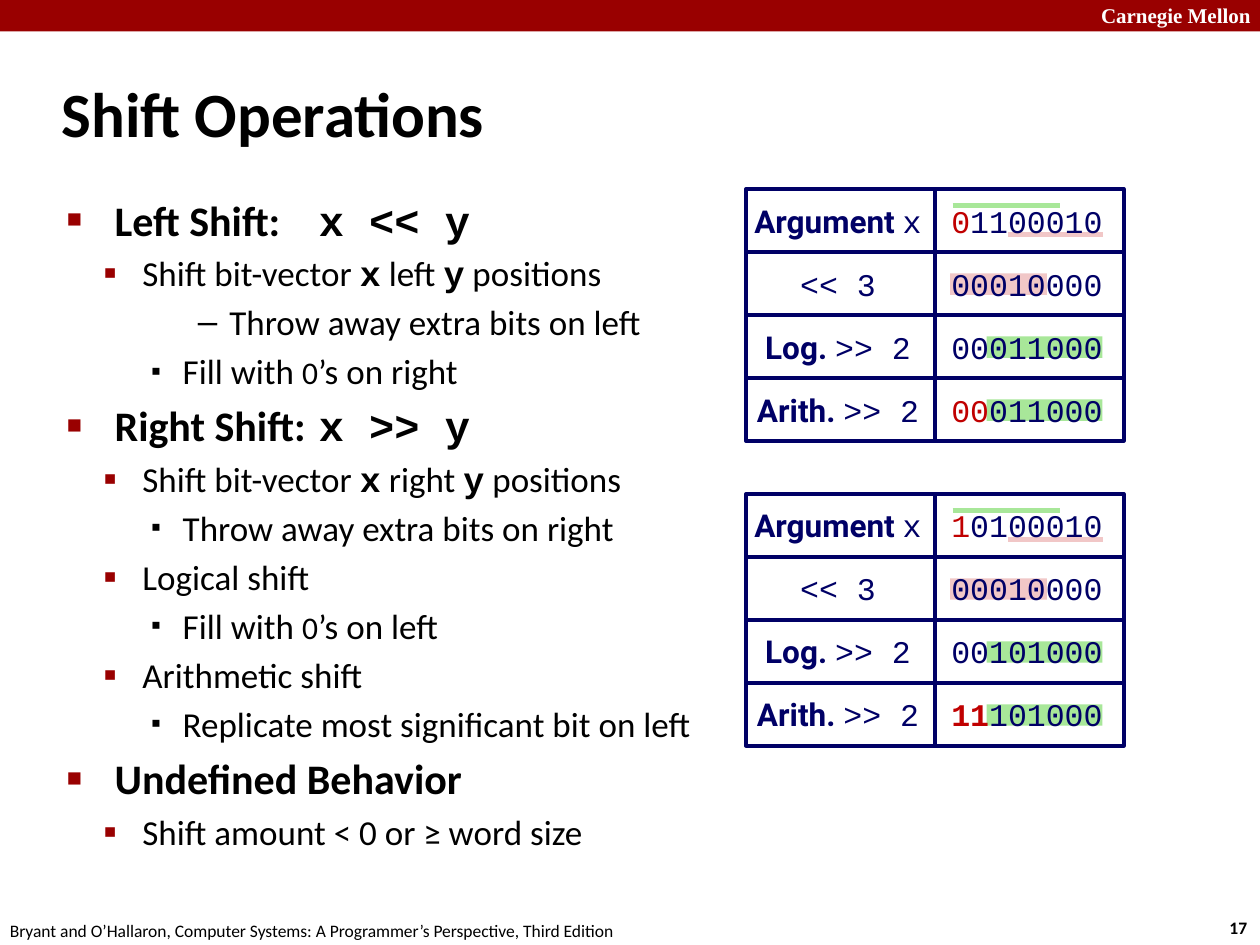
from lxml import etree
from pptx import Presentation
from pptx.dml.color import RGBColor
from pptx.enum import shapes, text
from pptx.oxml.ns import qn
from pptx.util import Inches, Pt

COLORS = {"band": "990000", "navy": "000066", "red": "C00000", "green": "A8E799",
          "pink": "F1C7C7", "black": "000000", "white": "FFFFFF"}

# Run styles: font, size, bold
STYLES = {"head": ("Calibri", 24, True), "head code": ("Courier New", 24, True),
          "body": ("Calibri", 20, False), "code": ("Courier New", 20, True),
          "digit": ("Calibri", 18, False), "title": ("Calibri", 36, True),
          "school": ("Times New Roman", 12, True), "page": ("Calibri", 10, True),
          "footer": ("Calibri", 10, False), "label": ("Roboto", 18, True),
          "bits": ("Courier New", 18, False), "bold bits": ("Courier New", 18, True)}

# Outline levels: left margin, hanging indent, bullet, bullet colour, bullet size in %
LEVELS = [(0.38, 0.38, "■", "band", 60), (0.6, 0.31, "▪", "band", 110),
          (0.92, 0.25, "▪", "black", 80), (1.29, 0.25, "–", "black", 100)]


def shift_positions(direction):
    return [("Shift bit-vector ", "body"), ("x", "code"), (f" {direction} ", "body"),
            ("y", "code"), (" positions", "body")]


def fill_with_zeros(side):
    return [("Fill with ", "body"), ("0", "digit"), (f"’s on {side}", "body")]


OUTLINE = [
    (0, [("Left Shift: \t", "head"), ("x << y", "head code")]),
    (1, shift_positions("left")),
    (3, [("Throw away extra bits on left", "body")]),
    (2, fill_with_zeros("right")),
    (0, [("Right Shift: \t", "head"), ("x >> y", "head code")]),
    (1, shift_positions("right")),
    (2, [("Throw away extra bits on right", "body")]),
    (1, [("Logical shift", "body")]),
    (2, fill_with_zeros("left")),
    (1, [("Arithmetic shift", "body")]),
    (2, [("Replicate most significant bit on left", "body")]),
    (0, [("Undefined Behavior", "head")]),
    (1, [("Shift amount < 0 or ≥ word size", "body")]),
]

ROW_LABELS = [[("Argument ", "label"), ("x", "bits")], [("<< 3", "bits")],
              [("Log. ", "label"), (">> 2", "bits")],
              [("Arith. ", "label"), (">> 2", "bits")]]

# Each example: top, then per row the red bits, their style and the navy bits
EXAMPLES = [
    (1.5, [("0", "bits", "1100010"), ("", "bits", "00010000"),
           ("", "bits", "00011000"), ("00", "bits", "011000")]),
    (3.92, [("1", "bits", "0100010"), ("", "bits", "00010000"),
            ("", "bits", "00101000"), ("11", "bold bits", "101000")]),
]
GRID_LEFT, CELL_W, CELL_H = 5.92, 1.5, 0.5

# Kept bits in rows 1 to 3: left, width, colour
KEPT_BITS = [(7.54, 0.77, "pink"), (7.83, 0.92, "green"), (7.83, 0.92, "green")]
# Marks on the argument: start, end, offset from the grid top, colour
ARGUMENT_MARKS = [(8, 8.75, 0.36, "pink"), (7.56, 8.41, 0.13, "green")]


def rgb(name):
    return RGBColor.from_string(COLORS[name])


def add_run(paragraph, wording, style, color="black"):
    run = paragraph.add_run()
    run.text = wording
    run.font.name, size, run.font.bold = STYLES[style]
    run.font.size = Pt(size)
    run.font.color.rgb = rgb(color)


def place(shape, *box):
    shape.left, shape.top, shape.width, shape.height = map(Inches, box)


def indent(paragraph, margin, hanging):
    props = paragraph._p.get_or_add_pPr()
    props.set("marL", str(Inches(margin)))
    props.set("indent", str(-Inches(hanging)))
    return props


def add_rect(slide, box, fill=None, line=None):
    rect = slide.shapes.add_shape(shapes.MSO_SHAPE.RECTANGLE, *map(Inches, box))
    rect.shadow.inherit = False
    if fill:
        rect.fill.solid()
        rect.fill.fore_color.rgb = rgb(fill)
    else:
        rect.fill.background()
    if line:
        rect.line.color.rgb = rgb(line)
        rect.line.width = Pt(2)
    else:
        rect.line.fill.background()
    return rect


def add_mark(slide, start, end, y, color):
    mark = slide.shapes.add_connector(
        shapes.MSO_CONNECTOR.STRAIGHT, *map(Inches, (start, y, end, y)))
    mark.line.color.rgb = rgb(color)
    mark.line.width = Pt(3)
    etree.SubElement(mark._element.spPr, qn("a:effectLst"))


def add_cell(slide, column, top, runs):
    box = (GRID_LEFT + column * CELL_W, top, CELL_W, CELL_H)
    frame = add_rect(slide, box, line="navy").text_frame
    frame.word_wrap = False
    frame.vertical_anchor = text.MSO_ANCHOR.MIDDLE
    frame.margin_left = frame.margin_top = frame.margin_bottom = Inches(0.06)
    frame.margin_right = Inches(0.1)
    paragraph = frame.paragraphs[0]
    paragraph.alignment = text.PP_ALIGN.CENTER
    for run in runs:
        add_run(paragraph, *run)


def add_label(slide, box, wording, style, color="black"):
    label = slide.shapes.add_textbox(*map(Inches, box))
    label.text_frame.word_wrap = False
    add_run(label.text_frame.paragraphs[0], wording, style, color)


def add_title(slide):
    title = slide.shapes.title
    place(title, 0.39, 0.48, 8.3, 0.83)
    title.text_frame.vertical_anchor = text.MSO_ANCHOR.MIDDLE
    heading = title.text_frame.paragraphs[0]
    heading.alignment = text.PP_ALIGN.LEFT
    indent(heading, 0.13, 0.13)
    add_run(heading, "Shift Operations", "title")


def add_outline(slide):
    body = slide.placeholders[1]
    place(body, 0.43, 1.49, 8.64, 5.44)
    frame = body.text_frame
    frame.auto_size = text.MSO_AUTO_SIZE.NONE
    for number, (level, runs) in enumerate(OUTLINE):
        item = frame.add_paragraph() if number else frame.paragraphs[0]
        item.level = level
        margin, hanging, bullet, color, size = LEVELS[level]
        props = indent(item, margin, hanging)
        bullet_color = etree.SubElement(props, qn("a:buClr"))
        etree.SubElement(bullet_color, qn("a:srgbClr"), val=COLORS[color])
        etree.SubElement(props, qn("a:buSzPct"), val=str(size * 1000))
        etree.SubElement(props, qn("a:buChar"), char=bullet)
        if number == 0:
            item.space_before = Pt(0)
        for run in runs:
            add_run(item, *run)


def add_example(slide, top, rows):
    for row, (left, width, color) in enumerate(KEPT_BITS, start=1):
        add_rect(slide, (left, top + row * CELL_H + 0.17, width, 0.17), fill=color)
    for start, end, offset, color in ARGUMENT_MARKS:
        add_mark(slide, start, end, top + offset, color)
    for row, (label, (red, red_style, navy)) in enumerate(zip(ROW_LABELS, rows)):
        y = top + row * CELL_H
        add_cell(slide, 0, y, [(*run, "navy") for run in label])
        bits = [(red, red_style, "red"), (navy, "bits", "navy")]
        add_cell(slide, 1, y, [run for run in bits if run[0]])


def main():
    deck = Presentation()
    deck.slide_width, deck.slide_height = Inches(10), Inches(7.5)
    slide = deck.slides.add_slide(deck.slide_layouts[1])
    add_rect(slide, (0, 0, 10, 0.25), fill="band")
    add_label(slide, (8.64, -0.03, 1.43, 0.3), "Carnegie Mellon", "school", "white")
    add_label(slide, (9.66, 7.23, 0.37, 0.27), "17", "page")
    add_label(slide, (-0.02, 7.25, 5.08, 0.27),
              "Bryant and O’Hallaron, Computer Systems: "
              "A Programmer’s Perspective, Third Edition", "footer")
    add_title(slide)
    add_outline(slide)
    for top, rows in EXAMPLES:
        add_example(slide, top, rows)
    deck.save("out.pptx")


if __name__ == "__main__":
    main()
